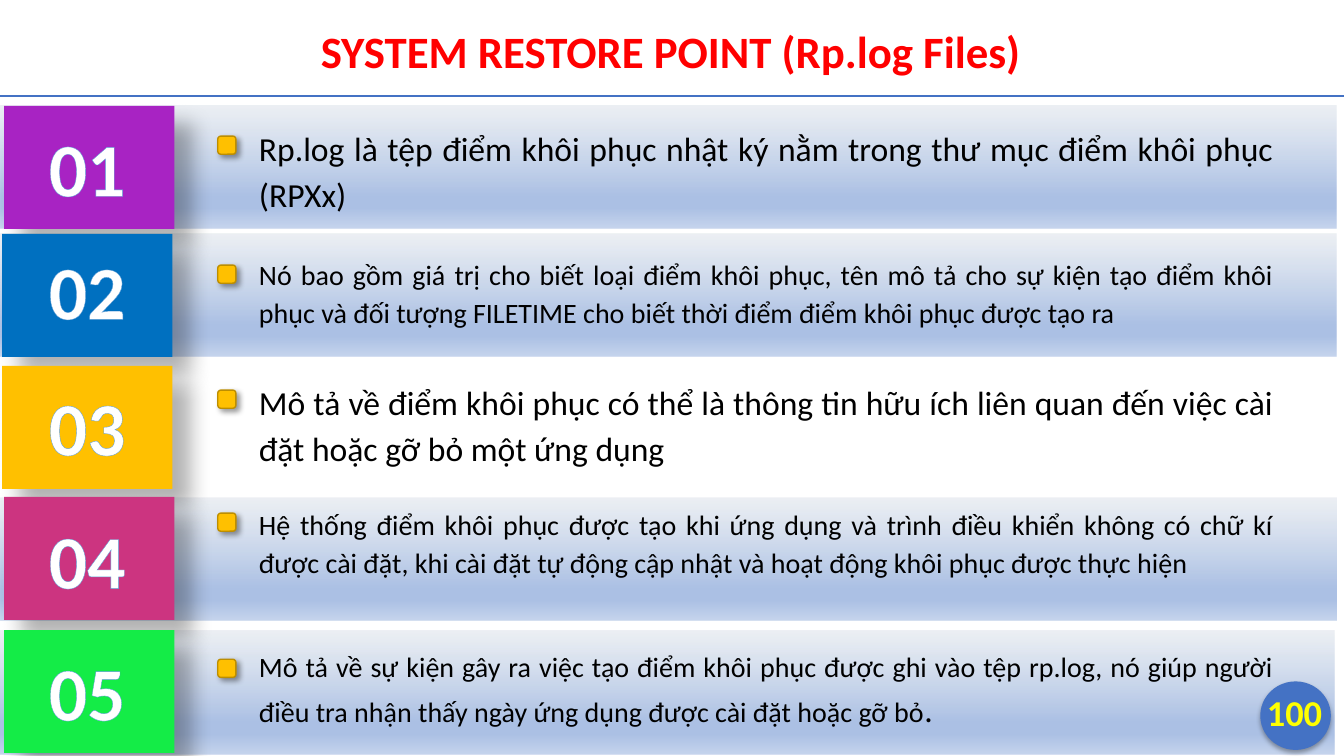
from lxml import etree
from pptx import Presentation
from pptx.dml.color import RGBColor
from pptx.enum.shapes import MSO_CONNECTOR, MSO_SHAPE
from pptx.enum.text import MSO_ANCHOR, MSO_AUTO_SIZE, PP_ALIGN
from pptx.oxml.ns import qn
from pptx.util import Inches, Pt

RECT, OVAL = MSO_SHAPE.RECTANGLE, MSO_SHAPE.OVAL
CHIP = MSO_SHAPE.FLOWCHART_ALTERNATE_PROCESS
CENTER, JUSTIFY = PP_ALIGN.CENTER, PP_ALIGN.JUSTIFY
MIDDLE, GROW = MSO_ANCHOR.MIDDLE, MSO_AUTO_SIZE.SHAPE_TO_FIT_TEXT
rgb = RGBColor.from_string

STOPS = [(0, "E8ECF1", 80), (74, "ABC0E4", 100), (83, "ABC0E4", 100), (100, "C7D5ED", 100)]

# band left, band top, square left, square top, colour, number top
bands = [
    (0.01, 1.05, 0.04, 1.05, "A823C3", 1.15),
    (0.01, 2.32, 0.02, 2.32, "0070C0", 2.37),
    (-0.01, 3.62, 0.02, 3.63, "FFC000", 3.72),
    (0.01, 4.94, 0.04, 4.93, "CC3480", 5.04),
    (-0.01, 6.26, 0.04, 6.25, "14EC47", 6.35),
]
WHITE_BAND = 3

# chip top, text top, text height, size, text, larger ending
notes = [
    (1.35, 1.16, 1.02, 24, "Rp.log là tệp điểm khôi phục nhật ký nằm trong thư mục điểm khôi phục (RPXx)", ""),
    (2.63, 2.46, 0.85, 20, "Nó bao gồm giá trị cho biết loại điểm khôi phục, tên mô tả cho sự kiện tạo "
     "điểm khôi phục và đối tượng FILETIME cho biết thời điểm điểm khôi phục được tạo ra", ""),
    (3.87, 3.68, 1.02, 24, "Mô tả về điểm khôi phục có thể là thông tin hữu ích liên quan đến việc cài "
     "đặt hoặc gỡ bỏ một ứng dụng", ""),
    (5.09, 4.94, 1.23, 20, "Hệ thống điểm khôi phục được tạo khi ứng dụng và trình điều khiển không có "
     "chữ kí được cài đặt, khi cài đặt tự động cập nhật và hoạt động khôi phục được thực hiện", ""),
    (6.54, 6.35, 0.95, 20, "Mô tả về sự kiện gây ra việc tạo điểm khôi phục được ghi vào tệp rp.log, nó "
     "giúp người điều tra nhận thấy ngày ứng dụng được cài đặt hoặc gỡ bỏ", "."),
]


def add_block(kind, box, color, shade=None):
    """Add a borderless shape; shade is (alpha %, blur pt, distance pt, angle)."""
    shape = slide.shapes.add_shape(kind, *map(Inches, box))
    shape.fill.solid()
    shape.fill.fore_color.rgb = rgb(color)
    shape.line.fill.background()
    shape.shadow.inherit = False
    if shade:
        alpha, blur, dist, angle = shade
        effects = shape._element.spPr.find(qn("a:effectLst"))
        outer = etree.SubElement(effects, qn("a:outerShdw"), blurRad=str(Pt(blur)), dist=str(Pt(dist)),
                                 dir=str(angle * 60000), algn="ctr", rotWithShape="0")
        tint = etree.SubElement(outer, qn("a:srgbClr"), val="000000")
        etree.SubElement(tint, qn("a:alpha"), val=str(alpha * 1000))
    return shape


def add_text(box, text, size, color, align, bold=False):
    frame = slide.shapes.add_textbox(*map(Inches, box)).text_frame
    frame.word_wrap = True
    para = frame.paragraphs[0]
    para.text = text
    para.alignment = align
    font = para.font
    font.name, font.size, font.bold = "Calibri", Pt(size), bold
    font.color.rgb = rgb(color)
    return frame


prs = Presentation()
prs.slide_width, prs.slide_height = Inches(13.33), Inches(7.5)
slide = prs.slides.add_slide(prs.slide_layouts[5])

title = slide.shapes.title
title.left, title.top, title.width, title.height = map(Inches, (0.02, 0.18, 13.27, 0.64))
title.text = "SYSTEM RESTORE POINT (Rp.log Files)"
title.text_frame.auto_size = GROW
title.text_frame.vertical_anchor = MIDDLE
head = title.text_frame.paragraphs[0]
head.alignment = CENTER
head.font.name, head.font.size, head.font.bold = "Calibri", Pt(32), True
head.font.color.rgb = rgb("FF0000")

rule = slide.shapes.add_connector(MSO_CONNECTOR.STRAIGHT, 0, Inches(0.95), Inches(13.33), Inches(0.95))
rule.line.color.rgb = rgb("4472C4")
rule.line.width = Pt(1.5)
etree.SubElement(rule._element.spPr, qn("a:effectLst"))

for row, (left, top, *_) in enumerate(bands, 1):
    band = add_block(RECT, (left, top, 13.25, 1.22), "FFFFFF")
    if row == WHITE_BAND:
        continue
    band.fill.gradient()
    band.fill.gradient_angle = 270
    stops = band._element.spPr.find(qn("a:gradFill")).find(qn("a:gsLst"))
    for stop in list(stops):
        stops.remove(stop)
    for pos, color, alpha in STOPS:
        stop = etree.SubElement(stops, qn("a:gs"), pos=str(pos * 1000))
        tint = etree.SubElement(stop, qn("a:srgbClr"), val=color)
        if alpha < 100:
            etree.SubElement(tint, qn("a:alpha"), val=str(alpha * 1000))

for _, _, left, top, color, _ in bands:
    add_block(RECT, (left, top, 1.69, 1.22), color, (30, 15, 18, 45))

for spot, top, height, size, text, end in notes:
    chip = add_block(CHIP, (2.16, spot, 0.18, 0.18), "FFC000", (40, 4, 3, 45))
    chip.line.color.rgb = rgb("BD8E00")
    chip.line.width = Pt(1)
    frame = add_text((2.47, top, 10.26, height), text, size, "000000", JUSTIFY)
    frame.auto_size = GROW
    para = frame.paragraphs[0]
    para.line_spacing = 1.14
    if end:
        run = para.add_run()
        run.text = end
        run.font.size = Pt(24)

for row, (*_, top) in enumerate(bands, 1):
    frame = add_text((0.38, top, 0.97, 1.01), f"{row:02}", 54, "FFFFFF", CENTER, True)
    frame.word_wrap = False
    frame.auto_size = GROW
    props = frame.paragraphs[0].runs[0]._r.get_or_add_rPr()
    edge = etree.SubElement(props, qn("a:ln"), w=str(Pt(0.8)))
    fill = etree.SubElement(edge, qn("a:solidFill"))
    etree.SubElement(fill, qn("a:srgbClr"), val="5B9BD5")

add_block(OVAL, (12.5, 6.76, 0.7, 0.68), "4472C4", (32, 3.5, 2.2, 90))
page = add_text((12.41, 6.72, 0.86, 0.68), "100", 26, "FFFF00", CENTER, True)
page.margin_left = page.margin_right = page.margin_top = page.margin_bottom = 0
page.vertical_anchor = MIDDLE

prs.save("out.pptx")
